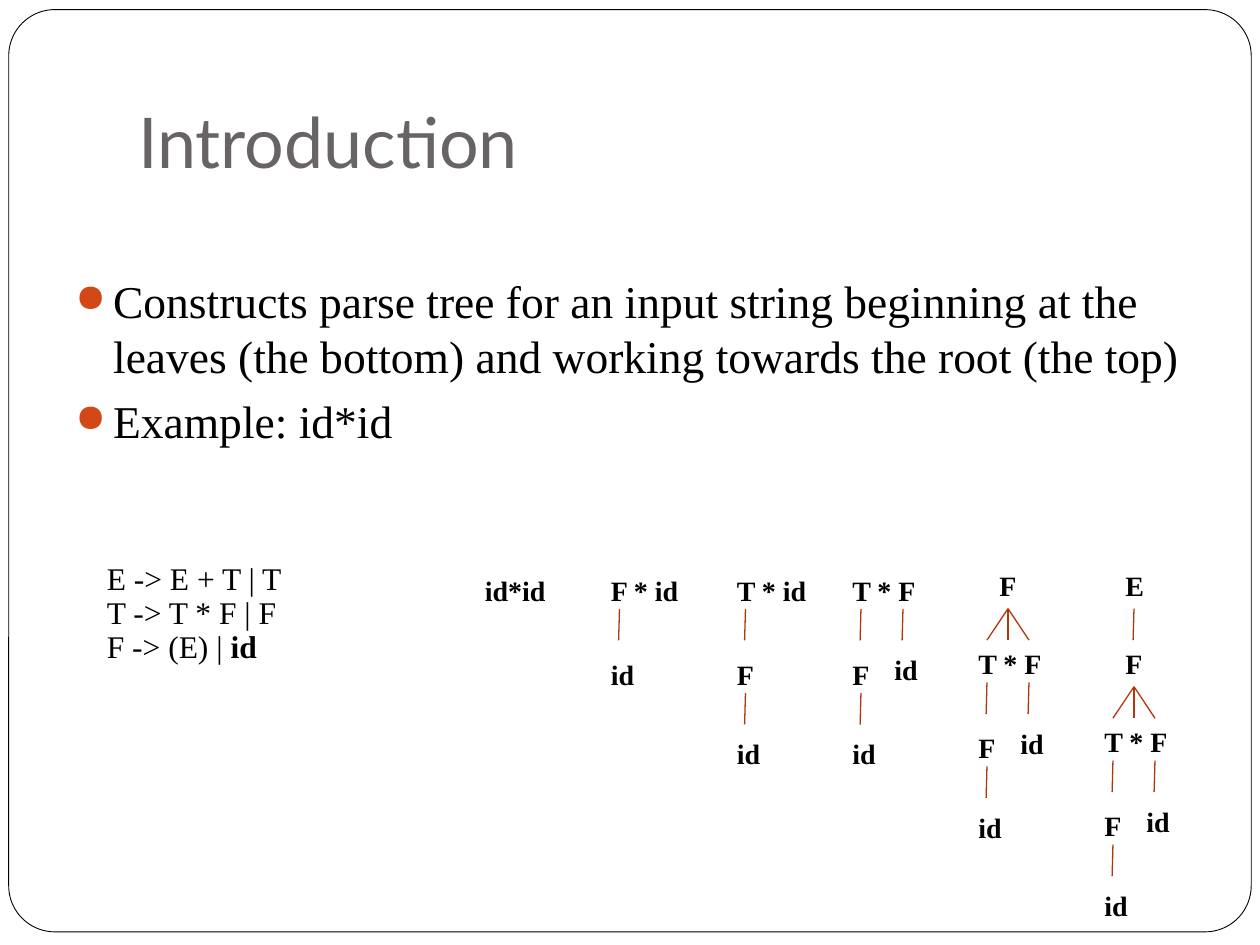
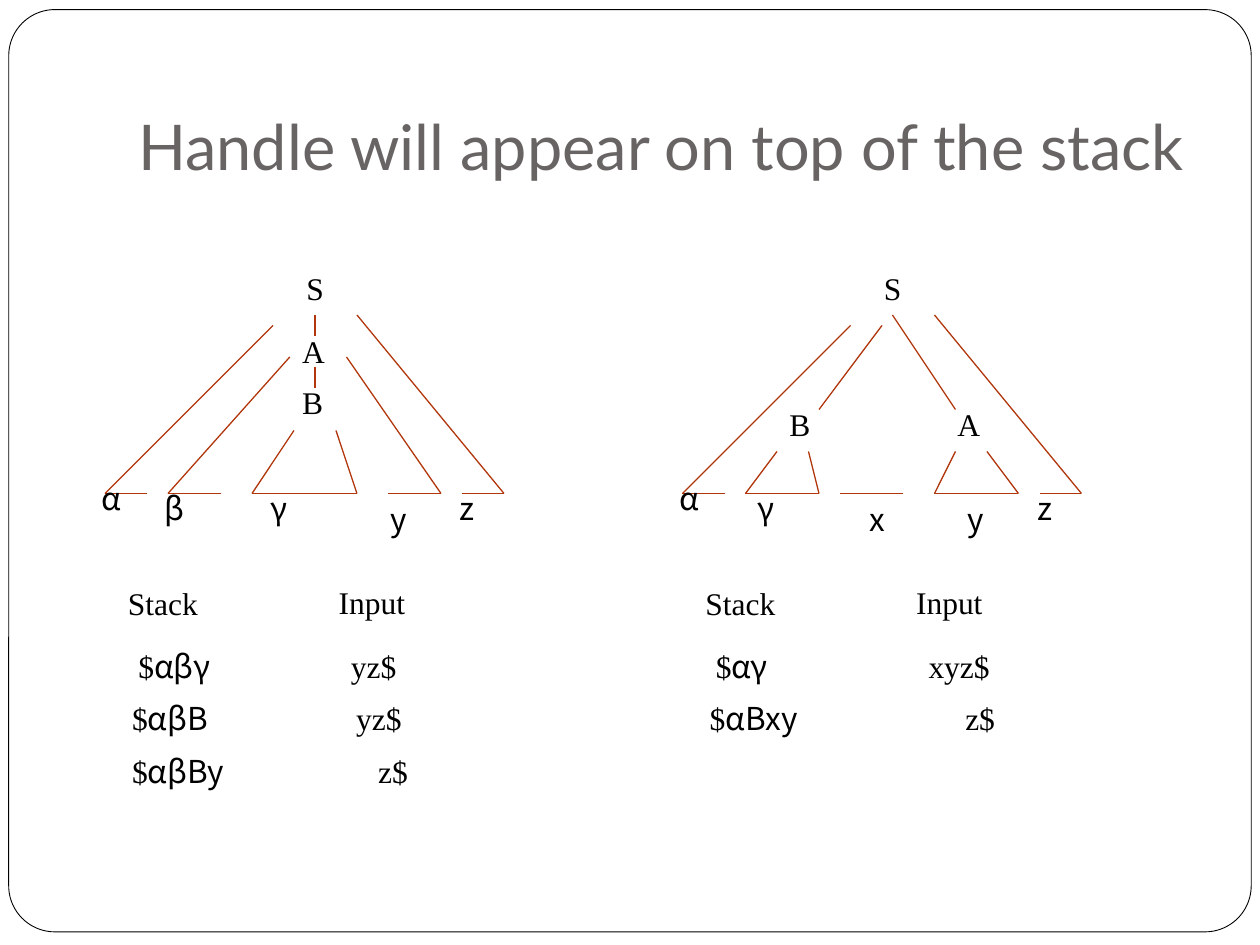
from dataclasses import dataclass

from lxml.etree import SubElement
from pptx import Presentation
from pptx.dml.color import RGBColor
from pptx.enum.shapes import MSO_CONNECTOR, MSO_SHAPE
from pptx.enum.text import MSO_ANCHOR, MSO_AUTO_SIZE
from pptx.oxml.ns import qn
from pptx.util import Pt


@dataclass(frozen=True)
class Theme:
    paper: RGBColor = RGBColor(0xFF, 0xFF, 0xFF)
    ink: RGBColor = RGBColor(0, 0, 0)
    heading: RGBColor = RGBColor(0x69, 0x64, 0x64)
    branch: RGBColor = RGBColor(0xB1, 0x36, 0x0B)
    bullet: str = "D34817"
    heading_font: str = "Lato"
    serif: str = "Times New Roman"
    symbol_font: str = "Noto Sans CJK JP"
    heading_size: int = 40
    long_heading_size: int = 36
    body_size: int = 26
    grammar_size: int = 18
    tree_size: int = 16


THEME = Theme()

LABEL_WIDTHS = {
    "id": 28, "F": 24.5, "E": 25, "S": 28, "A": 32, "B": 31,
    "α": 39, "β": 39, "γ": 39, "x": 27, "y": 27, "z": 27,
    "Stack": 68, "Input": 65.5, "xyz$": 62, "yz$": 50, "z$": 37,
}

BRANCH_HEIGHT = 18
LEFT_CHILD, MIDDLE_CHILD, RIGHT_CHILD = 12, 24, 36
LEAF_LINE = 282
ROW_STEP = 30


def style_run(run, size, font=THEME.serif, color=THEME.ink, bold=False):
    run.font.size = Pt(size)
    run.font.name = font
    run.font.color.rgb = color
    run.font.bold = bold


def add_text(slide, left, top, width, height, lines):
    box = slide.shapes.add_textbox(Pt(left), Pt(top), Pt(width), Pt(height))
    frame = box.text_frame
    frame.text = "\n".join(lines)
    frame.word_wrap = True
    return frame


def add_label(slide, left, top, text, size, font=THEME.serif, bold=False, width=None):
    frame = add_text(slide, left, top, width or LABEL_WIDTHS[text], 1.35 * size + 7.2, [text])
    frame.word_wrap = width is not None
    frame.auto_size = MSO_AUTO_SIZE.SHAPE_TO_FIT_TEXT
    style_run(frame.paragraphs[0].runs[0], size, font, bold=bold)
    return frame


def add_branch(slide, start_x, start_y, end_x, end_y):
    branch = slide.shapes.add_connector(
        MSO_CONNECTOR.STRAIGHT, Pt(start_x), Pt(start_y), Pt(end_x), Pt(end_y))
    branch.line.color.rgb = THEME.branch
    branch.line.width = Pt(0.75)
    SubElement(branch._element.spPr, qn("a:effectLst"))


def add_frame(slide):
    border = slide.shapes.add_shape(
        MSO_SHAPE.ROUNDED_RECTANGLE, Pt(5), Pt(5.5), Pt(710), Pt(527))
    border.adjustments[0] = 0.05
    border.shadow.inherit = False
    border.fill.solid()
    border.fill.fore_color.rgb = THEME.paper
    border.line.color.rgb = THEME.ink
    border.line.width = Pt(0.5)


def add_titled_slide(deck, heading, size):
    slide = deck.slides.add_slide(deck.slide_layouts[6])
    add_frame(slide)
    frame = add_text(slide, 72, 21.6, 612, 90, [heading])
    frame.vertical_anchor = MSO_ANCHOR.BOTTOM
    frame.margin_bottom = Pt(7.2)
    style_run(frame.paragraphs[0].runs[0], size, THEME.heading_font, THEME.heading)
    return slide


def indent(paragraph, hanging):
    properties = paragraph._p.get_or_add_pPr()
    properties.set("marL", str(Pt(hanging)))
    properties.set("indent", str(-Pt(hanging)))
    return properties


def add_bullets(slide, points):
    frame = add_text(slide, 36, 152.6, 648, 142, points)
    for index, paragraph in enumerate(frame.paragraphs):
        properties = indent(paragraph, 21.6)
        paragraph.space_before = Pt(5.8 if index else 0)
        color = SubElement(properties, qn("a:buClr"))
        SubElement(color, qn("a:srgbClr"), val=THEME.bullet)
        SubElement(properties, qn("a:buSzPct"), val="85000")
        SubElement(properties, qn("a:buChar"), char="●")
        style_run(paragraph.runs[0], THEME.body_size)


def add_grammar(slide, rules, terminal):
    frame = add_text(slide, 54, 318.2, 360, 85.7, rules)
    for paragraph in frame.paragraphs:
        indent(paragraph, 36)
        paragraph.line_spacing = 0.9
    paragraph.add_run().text = terminal
    for paragraph in frame.paragraphs:
        for run in paragraph.runs:
            style_run(run, THEME.grammar_size, bold=run.text == terminal)


def add_node(slide, left, top, text, width=None):
    add_label(slide, left, top, text, THEME.tree_size, bold=True, width=width)


def add_drop(slide, x, top):
    add_branch(slide, x, top, x - 0.5, top + BRANCH_HEIGHT)


def add_chain(slide, left, top, root, *descendants):
    add_node(slide, left, top, root, 60)
    for child, drop, child_top in zip(descendants, (24, 72), (48, 93.6)):
        add_drop(slide, left + LEFT_CHILD, top + drop)
        add_node(slide, left, top + child_top, child)


def add_product(slide, left, top):
    add_chain(slide, left, top, "T * F", "F", "id")
    add_drop(slide, left + RIGHT_CHILD, top + 24)
    add_node(slide, left + 24, top + 45.4, "id")


def add_reduced_product(slide, left, top):
    add_node(slide, left + 12, top, "F")
    apex = top + 26.6
    for child in (LEFT_CHILD, MIDDLE_CHILD, RIGHT_CHILD):
        add_branch(slide, left + MIDDLE_CHILD, apex, left + child, apex + BRANCH_HEIGHT)
    add_product(slide, left, top + 44.8)


def add_stack_cell(slide, left, top, symbols):
    frame = add_label(slide, left, top, "$", THEME.grammar_size, width=99.4)
    run = frame.paragraphs[0].add_run()
    run.text = symbols
    style_run(run, THEME.grammar_size, THEME.symbol_font)


def add_derivation(slide, left, symbols, edges, spans, rows):
    shared_edges = [(156, 186, 60, LEAF_LINE), (204, 180, 288, LEAF_LINE)]
    for start_x, start_y, end_x, end_y in shared_edges + edges:
        add_branch(slide, left + start_x, start_y, left + end_x, end_y)
    for start, end in [(60, 84), (264, 288)] + spans:
        add_branch(slide, left + start, LEAF_LINE, left + end, LEAF_LINE)
    shared_symbols = [("S", 168, 150), ("α", 51, 270), ("y", 216, 282), ("z", 255.6, 276)]
    for symbol, x, y in shared_symbols + symbols:
        font = THEME.serif if symbol.isupper() else THEME.symbol_font
        add_label(slide, left + x, y, symbol, THEME.grammar_size, font)
    add_label(slide, left + 66, 330, "Stack", THEME.grammar_size)
    add_label(slide, left + 186.4, 329.4, "Input", THEME.grammar_size)
    for index, (stack_x, stack, input_x, remaining) in enumerate(rows):
        top = 366 + index * ROW_STEP
        add_stack_cell(slide, left + stack_x, top, stack)
        add_label(slide, left + input_x, top, remaining, THEME.grammar_size)


def build_introduction(deck):
    slide = add_titled_slide(deck, "Introduction", THEME.heading_size)
    add_bullets(slide, [
        "Constructs parse tree for an input string beginning at the "
        "leaves (the bottom) and working towards the root (the top)",
        "Example: id*id",
    ])
    add_grammar(slide, ["E -> E + T | T", "T -> T * F | F", "F -> (E) | "], "id")
    add_chain(slide, 270, 324, "id*id")
    add_chain(slide, 342, 324, "F * id", "id")
    add_chain(slide, 414, 324, "T * id", "F", "id")
    add_product(slide, 480, 324)
    add_reduced_product(slide, 552, 321.2)
    add_node(slide, 636, 321.2, "E")
    add_drop(slide, 648, 347.8)
    add_reduced_product(slide, 624, 365.8)


def build_handles(deck):
    slide = add_titled_slide(
        deck, "Handle will appear on top of the stack", THEME.long_heading_size)
    add_derivation(
        slide, 0,
        symbols=[("A", 165.6, 186), ("B", 165.6, 215.5), ("β", 87, 276), ("γ", 147.6, 276)],
        edges=[(180, 180, 180, 192), (180, 210, 180, 222),
               (165.6, 204, 96, LEAF_LINE), (198, 204, 252, LEAF_LINE),
               (168, 246, 144, LEAF_LINE), (192, 246, 204, LEAF_LINE)],
        spans=[(96, 126), (144, 204), (222, 252)],
        rows=[(72, "αβγ", 193.5, "yz$"), (68.4, "αβB", 196.5, "yz$"),
              (68.4, "αβBy", 209, "z$")])
    add_derivation(
        slide, 330,
        symbols=[("A", 210, 228), ("B", 114, 228), ("γ", 96, 276), ("x", 159.6, 282)],
        edges=[(180, 180, 216, 234), (174, 186, 138, 234),
               (114, 258, 96, LEAF_LINE), (132, 258, 138, LEAF_LINE),
               (216, 258, 204, LEAF_LINE), (234, 258, 252, LEAF_LINE)],
        spans=[(96, 138), (150, 186), (204, 252)],
        rows=[(72, "αγ", 193.5, "xyz$"), (68.4, "αBxy", 214.5, "z$")])


def main():
    deck = Presentation()
    deck.slide_width, deck.slide_height = Pt(720), Pt(540)
    build_introduction(deck)
    build_handles(deck)
    deck.save("out.pptx")


if __name__ == "__main__":
    main()
